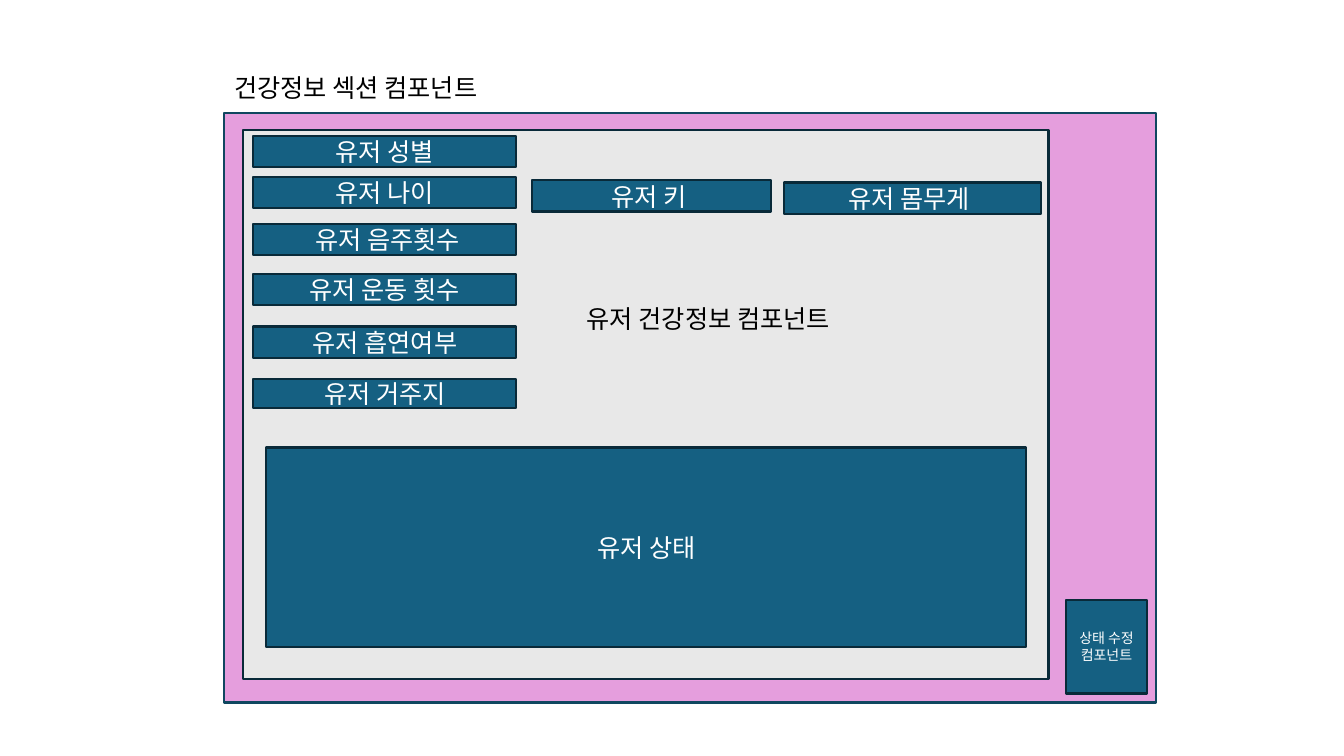
from pptx import Presentation
from pptx.dml.color import RGBColor
from pptx.enum.shapes import MSO_SHAPE
from pptx.enum.text import MSO_ANCHOR, MSO_AUTO_SIZE, PP_ALIGN
from pptx.oxml.ns import qn
from pptx.util import Pt
from lxml.etree import SubElement

FACE = "Noto Sans CJK KR"
HUES = {"pink": "E59EDD", "edge": "104760", "gray": "E8E8E8", "blue": "156082",
        "dark": "092A39", "white": "FFFFFF", "black": "000000"}
ROWS = [("유저 성별", 4.3, 22.3), ("유저 나이", 33.8, 22.3),
        (" 유저 음주횟수", 67, 22.3), ("유저 운동 횟수", 103, 22.3),
        ("유저 흡연여부", 140.4, 22.3), ("유저 거주지", 178, 20.9)]


def tint(name):
    """Return the named colour."""
    return RGBColor.from_string(HUES[name])


def write(frame, lines, size, hue, align):
    """Fill a text frame with one paragraph per line."""
    frame.text = "\n".join(lines)
    for para in frame.paragraphs:
        para.alignment = align
        font = para.font
        font.size = Pt(size)
        font.name = FACE
        font.color.rgb = tint(hue)
        props = para._p.pPr.find(qn("a:defRPr"))
        SubElement(props, qn("a:ea")).set("typeface", FACE)


def block(slide, box, fill="blue", edge="dark", lines=(), size=18):
    """Draw an outlined rectangle with centred text."""
    shape = slide.shapes.add_shape(MSO_SHAPE.RECTANGLE, *map(Pt, box))
    shape.shadow.inherit = False
    shape.fill.solid()
    shape.fill.fore_color.rgb = tint(fill)
    shape.line.color.rgb = tint(edge)
    shape.line.width = Pt(1.5)
    if lines:
        shape.text_frame.vertical_anchor = MSO_ANCHOR.MIDDLE
        write(shape.text_frame, lines, size, "white", PP_ALIGN.CENTER)


def label(shape, text):
    """Format a text shape as a plain black label."""
    frame = shape.text_frame
    write(frame, [text], 18, "black", PP_ALIGN.LEFT)
    frame.word_wrap = False
    frame.auto_size = MSO_AUTO_SIZE.SHAPE_TO_FIT_TEXT
    frame.vertical_anchor = MSO_ANCHOR.TOP


def head(slide, x, y, wide, high):
    """Place the slide title in its box."""
    title = slide.shapes.title
    title.left, title.top, title.width, title.height = map(Pt, (x, y, wide, high))
    label(title, "건강정보 섹션 컴포넌트")


def panel(slide, x, y, wide, high):
    """Draw the health panel with its fields and status area."""
    block(slide, (x, y, wide, high), "gray")
    for text, down, tall in ROWS:
        block(slide, (x + 7.2, y + down, 188, tall), lines=[text])
    block(slide, (x + 206.6, y + 36, 170.6, 22.3), lines=["유저 키 "])
    block(slide, (x + 386, y + 37.6, 183.6, 22.3), lines=["유저 몸무게 "])
    block(slide, (x + 16.5, y + 226.8, wide - 32.4, 142.6), lines=["유저 상태"])
    note = slide.shapes.add_textbox(Pt(x + 238.3), Pt(y + 120.2), Pt(265.7), Pt(58.3))
    label(note, "유저 건강정보 컴포넌트")


def section(slide, x, y, wide, high):
    """Draw the section frame, its panel and its edit button."""
    block(slide, (x, y, wide, high), "pink", "edge")
    block(slide, (x + wide - 64.8, y + high - 73.4, 58.3, 67),
          lines=["상태 수정", "컴포넌트"], size=10)
    panel(slide, x + 13.7, y + 12.2, wide - 90.7, high - 28.8)


def main():
    """Build and save the slide."""
    deck = Presentation()
    deck.slide_width, deck.slide_height = Pt(960), Pt(540)
    slide = deck.slides.add_slide(deck.slide_layouts[5])
    head(slide, 160, 48.2, 209.5, 28.8)
    section(slide, 160, 80.6, 666, 421.2)
    deck.save("out.pptx")


if __name__ == "__main__":
    main()
